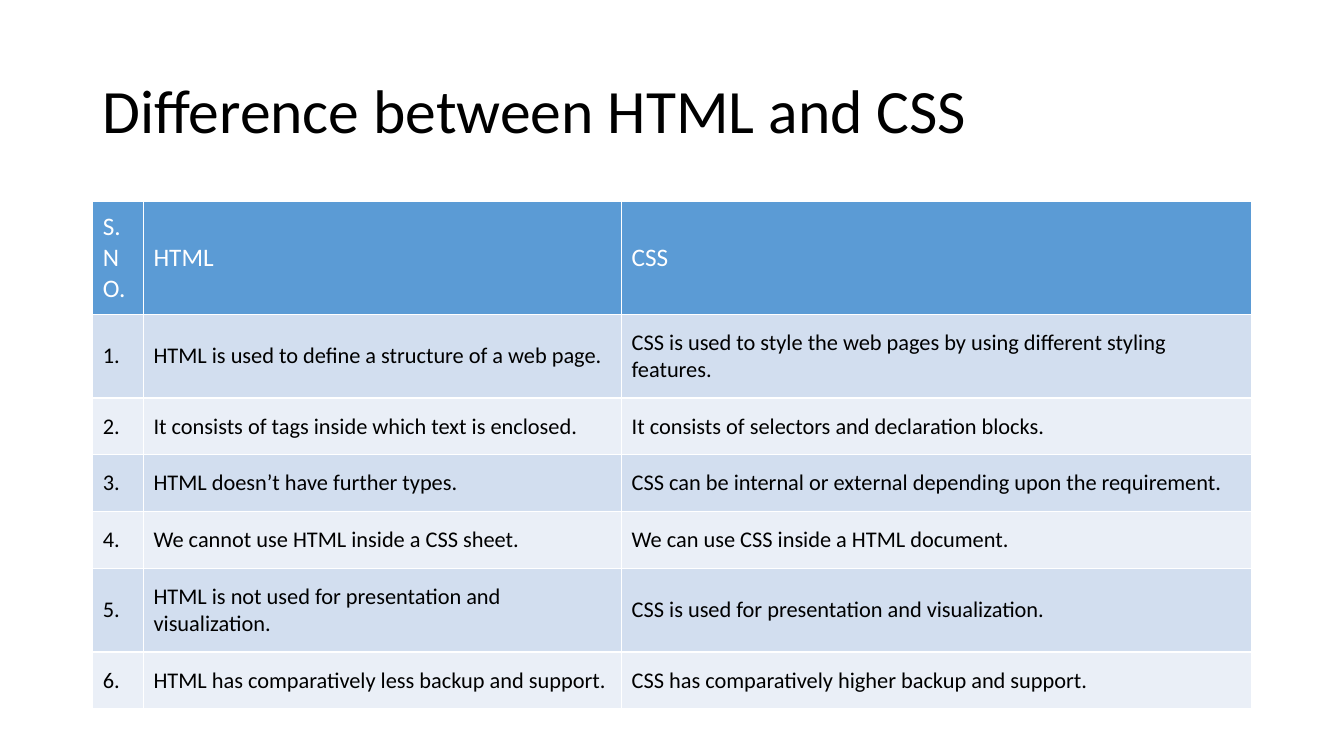
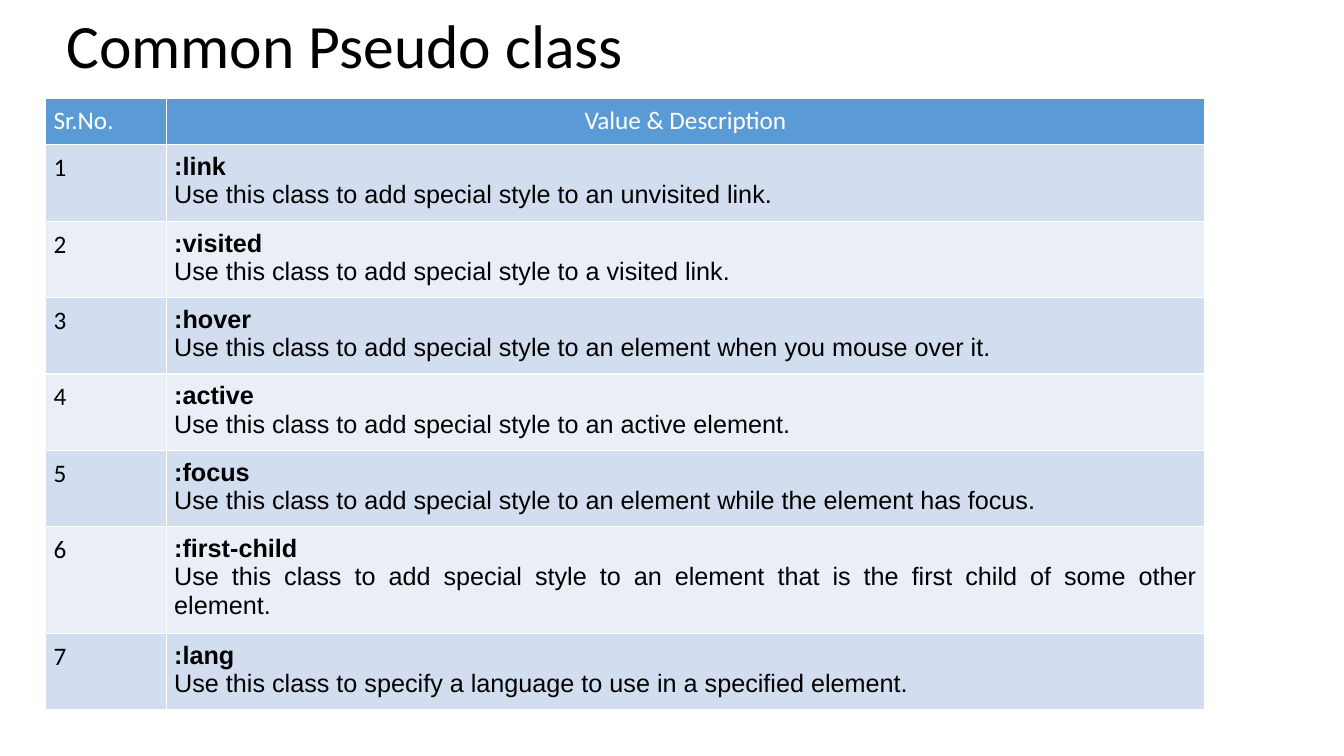
"""Two slides that compare HTML with CSS and list common pseudo classes."""
from lxml import etree
from pptx import Presentation
from pptx.dml.color import RGBColor
from pptx.enum.text import MSO_ANCHOR, PP_ALIGN
from pptx.oxml.ns import qn
from pptx.util import Cm, Pt

TOP, MIDDLE = MSO_ANCHOR.TOP, MSO_ANCHOR.MIDDLE
LEFT, CENTER, JUSTIFY = PP_ALIGN.LEFT, PP_ALIGN.CENTER, PP_ALIGN.JUSTIFY

WHITE, BLACK = "FFFFFF", "000000"
HEADER_FILL = "5B9BD5"
BAND_FILLS = ("D2DEEF", "EAEFF7")
FONT, CODE_FONT = "Calibri", "Arial"
CONTENT_WIDTH = 29.21

DIFFERENCES = [
    ("HTML is used to define a structure of a web page.",
     "CSS is used to style the web pages by using different styling features."),
    ("It consists of tags inside which text is enclosed.",
     "It consists of selectors and declaration blocks."),
    ("HTML doesn\u2019t have further types.",
     "CSS can be internal or external depending upon the requirement."),
    ("We cannot use HTML inside a CSS sheet.",
     "We can use CSS inside a HTML document."),
    ("HTML is not used for presentation and visualization.",
     "CSS is used for presentation and visualization."),
    ("HTML has comparatively less backup and support.",
     "CSS has comparatively higher backup and support."),
]

PSEUDO_CLASSES = [
    (":link", "Use this class to add special style to an unvisited link."),
    (":visited", "Use this class to add special style to a visited link."),
    (":hover", "Use this class to add special style to an element when you "
               "mouse over it."),
    (":active", "Use this class to add special style to an active element."),
    (":focus", "Use this class to add special style to an element while the "
               "element has focus."),
    (":first-child", "Use this class to add special style to an element that "
                     "is the first child of some other element."),
    (":lang", "Use this class to specify a language to use in a specified "
              "element."),
]


def rgb(value):
    """Return the colour for a hex string."""
    return RGBColor.from_string(value)


def write(p, text, size=18, font=FONT, color=BLACK, bold=False, align=LEFT,
          spacing=None):
    """Put formatted text into a paragraph."""
    p.alignment = align
    p.line_spacing = spacing
    r = p.add_run()
    r.text = text
    r.font.size = Pt(size)
    r.font.name = font
    r.font.bold = bold
    r.font.color.rgb = rgb(color)


def add_title(s, text, left, top, height):
    """Add a slide title, centred vertically in its box."""
    tf = s.shapes.add_textbox(Cm(left), Cm(top), Cm(CONTENT_WIDTH),
                              Cm(height)).text_frame
    tf.word_wrap = True
    tf.vertical_anchor = MIDDLE
    write(tf.paragraphs[0], text, size=44, spacing=0.9)


def add_borders(cell, color=WHITE, width=1):
    """Draw a line on all four sides of a cell."""
    tc_pr = cell._tc.get_or_add_tcPr()
    for i, side in enumerate(("a:lnL", "a:lnR", "a:lnT", "a:lnB")):
        ln = etree.Element(qn(side), w=str(Pt(width)))
        fill = etree.SubElement(ln, qn("a:solidFill"))
        etree.SubElement(fill, qn("a:srgbClr"), val=color)
        tc_pr.insert(i, ln)


def fill_cell(cell, paragraphs, fill, anchor, pad_x, pad_y):
    """Style a cell and write its (text, format) paragraphs."""
    cell.fill.solid()
    cell.fill.fore_color.rgb = rgb(fill)
    add_borders(cell)
    cell.vertical_anchor = anchor
    cell.margin_left = cell.margin_right = Cm(pad_x)
    cell.margin_top = cell.margin_bottom = Cm(pad_y)
    tf = cell.text_frame
    for i, (text, style) in enumerate(paragraphs):
        p = tf.add_paragraph() if i else tf.paragraphs[0]
        write(p, text, **style)


def add_banded_table(s, rows, left, top, widths, heights, anchor, pad_x,
                     header_pad, body_pad):
    """Add a table with a header row and alternating body rows."""
    table = s.shapes.add_table(len(rows), len(widths), Cm(left), Cm(top),
                               Cm(sum(widths)), Cm(sum(heights))).table
    for column, width in zip(table.columns, widths):
        column.width = Cm(width)
    for i, (cells, height) in enumerate(zip(rows, heights)):
        table.rows[i].height = Cm(height)
        fill = BAND_FILLS[(i - 1) % 2] if i else HEADER_FILL
        pad_y = body_pad if i else header_pad
        for j, paragraphs in enumerate(cells):
            fill_cell(table.cell(i, j), paragraphs, fill, anchor, pad_x, pad_y)


def add_difference_slide(prs):
    """Build the comparison of HTML and CSS."""
    s = prs.slides.add_slide(prs.slide_layouts[6])
    add_title(s, "Difference between HTML and CSS", 2.33, 1.01, 3.68)
    rows = [[[(text, {"color": WHITE})] for text in ("S.NO.", "HTML", "CSS")]]
    for number, pair in enumerate(DIFFERENCES, 1):
        rows.append([[(text, {"size": 16})] for text in (f"{number}.", *pair)])
    one_line, two_lines = 1.43, 2.11
    heights = [2.84, two_lines, one_line, one_line, one_line, two_lines,
               one_line]
    add_banded_table(s, rows, 2.33, 5.08, (1.28, 12.05, 15.88), heights,
                     MIDDLE, pad_x=0.26, header_pad=0.26, body_pad=0.37)


def add_pseudo_class_slide(prs):
    """Build the list of common pseudo classes."""
    s = prs.slides.add_slide(prs.slide_layouts[6])
    add_title(s, "Common Pseudo class", 1.42, 0, 2.46)
    rows = [[[("Sr.No.", {"color": WHITE})],
             [("Value & Description", {"color": WHITE, "align": CENTER})]]]
    body = {"font": CODE_FONT, "align": JUSTIFY}
    for number, (name, description) in enumerate(PSEUDO_CLASSES, 1):
        rows.append([[(str(number), {})],
                     [(name, {**body, "bold": True}), (description, body)]])
    two_lines, three_lines = 1.84, 2.56
    heights = [1.18] + [two_lines] * 5 + [three_lines, two_lines]
    add_banded_table(s, rows, 1.15, 2.47, (3.04, 26.17), heights,
                     TOP, pad_x=0.2, header_pad=0.2, body_pad=0.2)


def main():
    """Build and save the presentation."""
    prs = Presentation()
    prs.slide_width = Cm(33.87)
    prs.slide_height = Cm(19.05)
    add_difference_slide(prs)
    add_pseudo_class_slide(prs)
    prs.save("out.pptx")


main()
